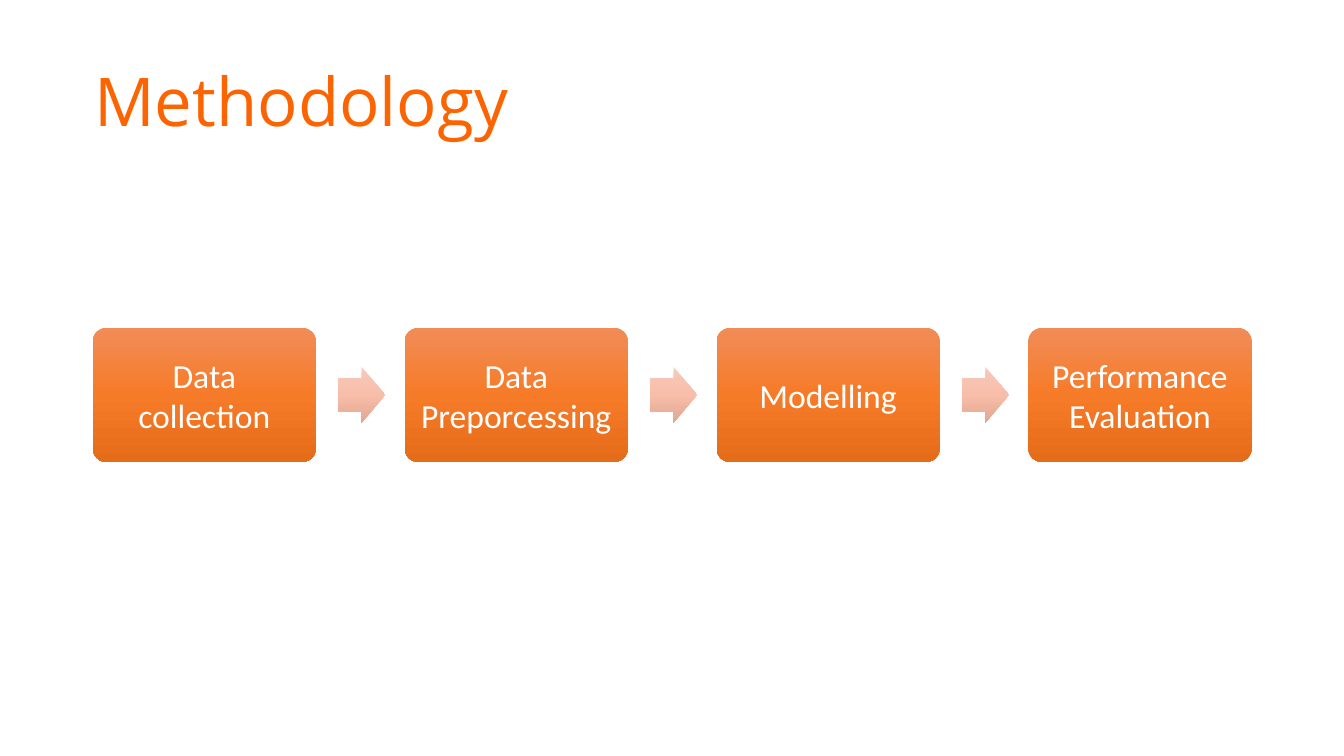
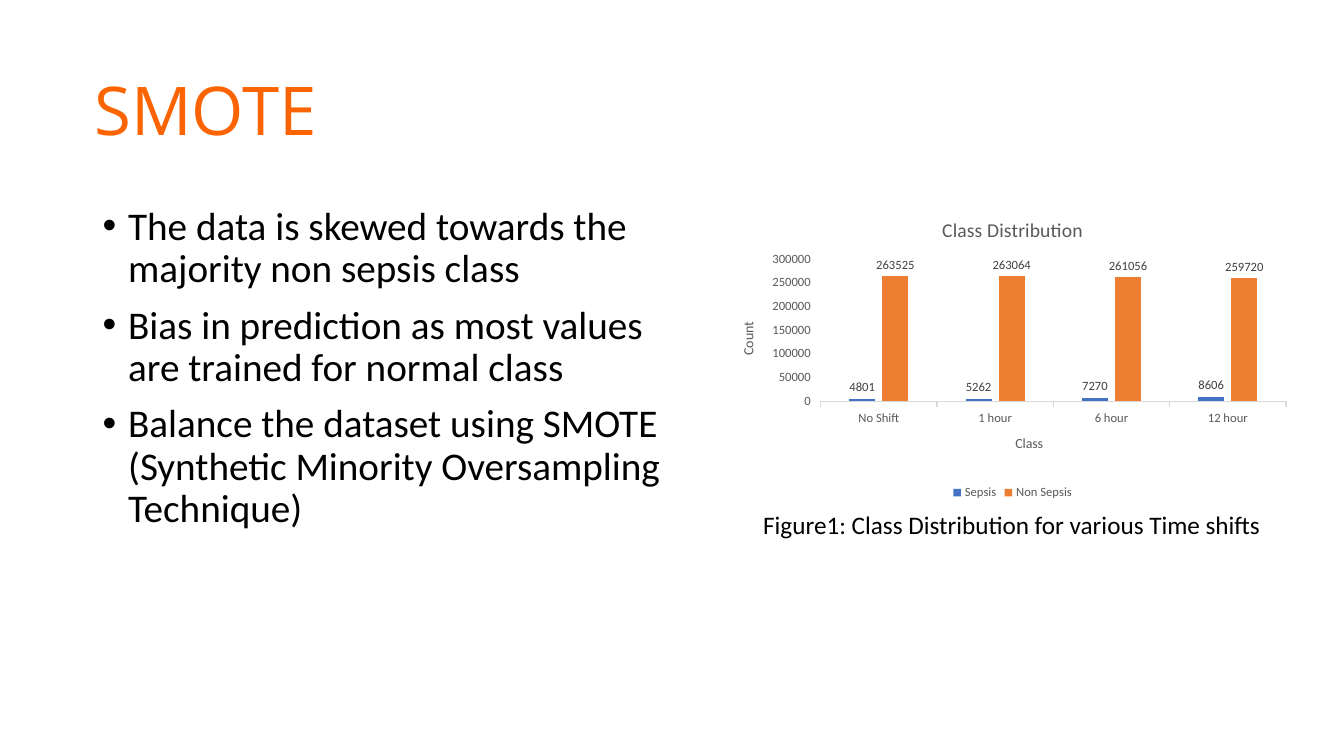
import pptx
import pptx.chart.data
import pptx.dml.color
import pptx.enum.chart
import pptx.enum.shapes
import pptx.enum.text
import pptx.oxml.ns
import pptx.util
from lxml import etree

Cm = pptx.util.Cm
Pt = pptx.util.Pt
qn = pptx.oxml.ns.qn
Align = pptx.enum.text.PP_ALIGN
Anchor = pptx.enum.text.MSO_ANCHOR
Preset = pptx.enum.shapes.MSO_SHAPE
ChartEnum = pptx.enum.chart

COLORS = {
    "title": "FB6400", "text": "000000", "step_text": "FFFFFF",
    "chart_text": "595959", "label": "404040", "axis": "D9D9D9",
    "Sepsis": "4472C4", "Non Sepsis": "ED7D31",
}
GRADIENTS = {
    "step": {0: "F18C57", 50: "F67B28", 100: "E56C19"},
    "arrow": {0: "F7C9BA", 50: "F8BEAA", 100: "E2A692"},
}
FONTS = {
    "title": {"name": "Open Sans", "size": Pt(48)},
    "body": {"name": "Calibri", "size": Pt(28)},
    "step": {"name": "Calibri", "size": Pt(24)},
    "caption": {"name": "Calibri", "size": Pt(18)},
    "chart_title": {"name": "Calibri", "size": Pt(14), "bold": False},
    "axis_title": {"name": "Calibri", "size": Pt(10), "bold": False},
    "chart": {"name": "Calibri", "size": Pt(9)},
}


def rgb(color):
    return pptx.dml.color.RGBColor.from_string(COLORS[color])


def assign(target, values):
    for name, value in values.items():
        setattr(target, name, value)


def style_font(font, style, color):
    assign(font, FONTS[style])
    font.color.rgb = rgb(color)


class Deck:
    def __init__(self):
        self.presentation = pptx.Presentation()
        assign(self.presentation, {"slide_width": Cm(33.87), "slide_height": Cm(19.05)})
        self.slide = None

    def new_slide(self, title, title_top):
        self.slide = self.presentation.slides.add_slide(self.presentation.slide_layouts[6])
        self.text([title], (2.13, title_top, 29.4, 2.31), "title", "title")

    def text(self, lines, box, style, color, paragraph_format=None, bullet=False):
        frame = self.slide.shapes.add_textbox(*map(Cm, box)).text_frame
        frame.word_wrap = True
        self.fill_frame(frame, lines, style, color, paragraph_format, bullet)

    def fill_frame(self, frame, lines, style, color, paragraph_format=None, bullet=False):
        for index, line in enumerate(lines):
            paragraph = frame.add_paragraph() if index else frame.paragraphs[0]
            assign(paragraph, paragraph_format or {})
            run = paragraph.add_run()
            run.text = line
            style_font(run.font, style, color)
            if bullet:
                properties = paragraph._p.get_or_add_pPr()
                properties.set("marL", str(Cm(0.64)))
                properties.set("indent", str(-Cm(0.64)))
                etree.SubElement(properties, qn("a:buFont")).set("typeface", "Arial")
                etree.SubElement(properties, qn("a:buChar")).set("char", "•")

    def block(self, preset, box, gradient, adjustments):
        shape = self.slide.shapes.add_shape(preset, *map(Cm, box))
        shape.shadow.inherit = False
        shape.line.fill.background()
        for index, value in enumerate(adjustments):
            shape.adjustments[index] = value
        shape.fill.gradient()
        shape.fill.gradient_angle = 270
        stops = shape._element.spPr.find(".//" + qn("a:gsLst"))
        for stop in list(stops):
            stops.remove(stop)
        for percent, color in GRADIENTS[gradient].items():
            stop = etree.SubElement(stops, qn("a:gs"), pos=str(percent * 1000))
            etree.SubElement(stop, qn("a:srgbClr"), val=color)
        return shape

    def step(self, label, box):
        frame = self.block(Preset.ROUNDED_RECTANGLE, box, "step", [0.1]).text_frame
        inset = Cm(0.25)
        assign(frame, {
            "word_wrap": True, "vertical_anchor": Anchor.MIDDLE,
            "margin_left": inset, "margin_right": inset,
            "margin_top": inset, "margin_bottom": inset,
        })
        self.fill_frame(frame, [label], "step", "step_text", {"alignment": Align.CENTER})

    def arrow(self, box):
        self.block(Preset.RIGHT_ARROW, box, "arrow", [0.6, 0.5])

    def column_chart(self, title, categories, series, axis_titles, box, plot_area):
        data = pptx.chart.data.CategoryChartData(number_format="General")
        data.categories = categories
        for name, values in series.items():
            data.add_series(name, values)
        chart = self.slide.shapes.add_chart(
            ChartEnum.XL_CHART_TYPE.COLUMN_CLUSTERED, *map(Cm, box), data).chart
        style_font(chart.font, "chart", "chart_text")
        self.fill_frame(chart.chart_title.text_frame, [title], "chart_title", "chart_text")
        chart.has_legend = True
        assign(chart.legend, {
            "position": ChartEnum.XL_LEGEND_POSITION.BOTTOM, "include_in_layout": False})
        style_font(chart.legend.font, "chart", "chart_text")
        for axis, axis_title in zip((chart.category_axis, chart.value_axis), axis_titles):
            assign(axis, {
                "has_major_gridlines": False,
                "major_tick_mark": ChartEnum.XL_TICK_MARK.OUTSIDE,
                "minor_tick_mark": ChartEnum.XL_TICK_MARK.NONE,
            })
            style_font(axis.tick_labels.font, "chart", "chart_text")
            self.fill_frame(axis.axis_title.text_frame, [axis_title], "axis_title", "chart_text")
        chart.value_axis.axis_title.text_frame._txBody.bodyPr.set("rot", "-5400000")
        assign(chart.value_axis, {
            "minimum_scale": 0, "maximum_scale": 300000, "major_unit": 50000})
        chart.value_axis.format.line.fill.background()
        chart.category_axis.format.line.color.rgb = rgb("axis")
        chart.category_axis.format.line.width = Pt(0.75)
        plot = chart.plots[0]
        assign(plot, {"gap_width": 219, "overlap": -27, "vary_by_categories": False})
        for bars in plot.series:
            bars.format.fill.solid()
            bars.format.fill.fore_color.rgb = rgb(bars.name)
            labels = bars.data_labels
            assign(labels, {
                "show_value": True,
                "position": ChartEnum.XL_LABEL_POSITION.OUTSIDE_END})
            style_font(labels.font, "chart", "label")
        self.place_plot(chart, plot_area)

    def place_plot(self, chart, plot_area):
        area = chart._chartSpace.find(".//" + qn("c:plotArea"))
        layout = area.find(qn("c:layout"))
        if layout is None:
            layout = etree.Element(qn("c:layout"))
            area.insert(0, layout)
        manual = etree.SubElement(layout, qn("c:manualLayout"))
        settings = {"layoutTarget": "inner", "xMode": "edge", "yMode": "edge", **plot_area}
        for name, value in settings.items():
            etree.SubElement(manual, qn("c:" + name), val=str(value))


deck = Deck()

deck.new_slide("Methodology", 1.37)
steps = ["Data collection", "Data Preporcessing", "Modelling", "Performance Evaluation"]
first_left, step_top, step_width, step_height, pitch = 2.34, 8.26, 5.62, 3.38, 7.86
arrow_width, arrow_height, arrow_offset = 1.19, 1.4, 6.18
arrow_top = step_top + (step_height - arrow_height) / 2
for position, label in enumerate(steps):
    left = first_left + position * pitch
    deck.step(label, (left, step_top, step_width, step_height))
    if position < len(steps) - 1:
        deck.arrow((left + arrow_offset, arrow_top, arrow_width, arrow_height))

deck.new_slide("SMOTE", 1.6)
deck.text(
    ["The data is skewed towards the majority non sepsis class",
     "Bias in prediction as most values are trained for normal class",
     "Balance the dataset using SMOTE (Synthetic Minority Oversampling Technique)"],
    (2.34, 5.08, 14.66, 12.09), "body", "text",
    {"line_spacing": 0.9, "space_before": Pt(10)}, bullet=True)
deck.column_chart(
    "Class Distribution",
    ["No Shift", "1 hour", "6 hour", "12 hour"],
    {"Sepsis": [4801, 5262, 7270, 8606],
     "Non Sepsis": [263525, 263064, 261056, 259720]},
    ["Class", "Count"],
    (18.19, 5.08, 14.66, 7.62),
    {"x": 0.17, "y": 0.19, "w": 0.8, "h": 0.47})
deck.text(["Figure1: Class Distribution for various Time shifts"],
          (18.87, 12.7, 13.26, 1.02), "caption", "text", {"alignment": Align.CENTER})

deck.presentation.save("out.pptx")
